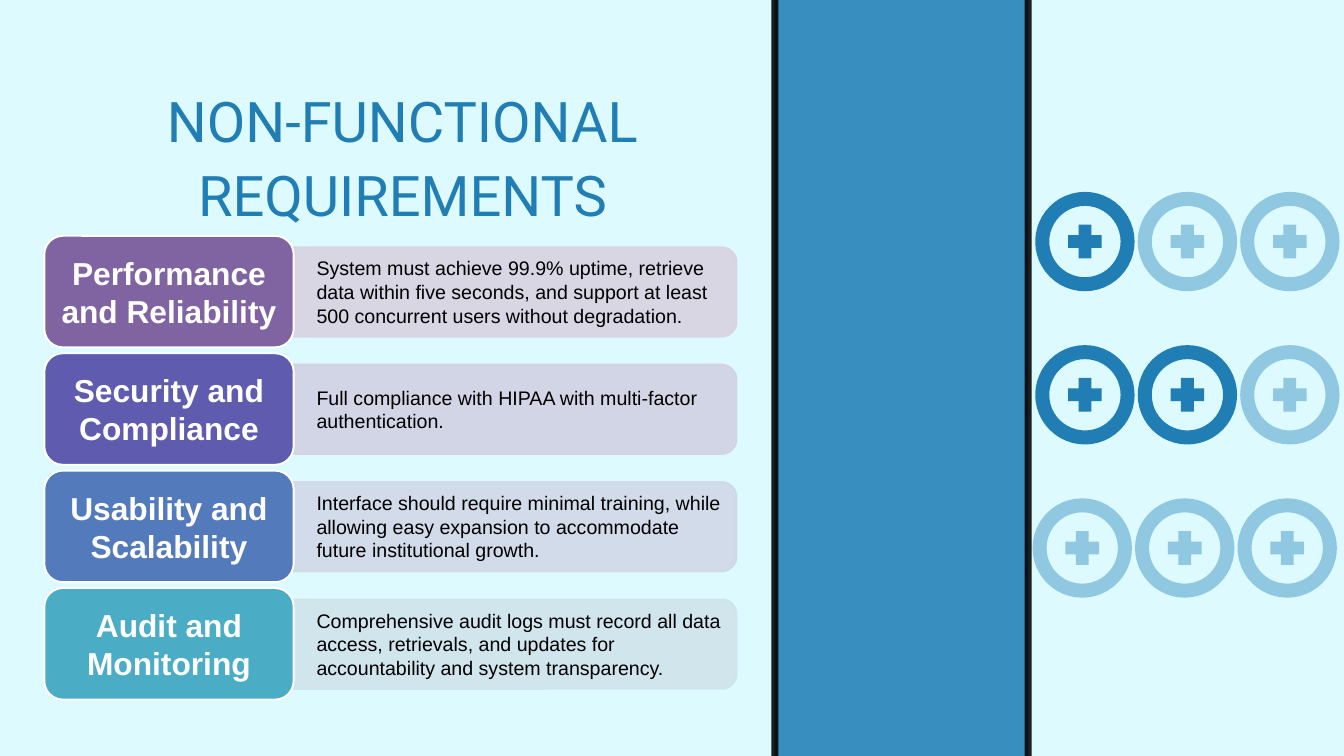
from dataclasses import dataclass

from lxml import etree
from pptx import Presentation
from pptx.dml.color import RGBColor
from pptx.enum import shapes as sh, text as tx
from pptx.oxml.ns import qn
from pptx.util import Inches, Pt


@dataclass(frozen=True)
class Theme:
    back: str = "DCFAFF"
    blue: str = "207EB5"
    white: str = "FFFFFF"
    black: str = "000000"
    head: str = "Roboto"
    body: str = "Arial"
    title: int = 60
    label: int = 34
    note: int = 21
    faint: int = 40


T = Theme()
FORM = sh.MSO_SHAPE

CARDS = [
    ("Performance and Reliability", "8064A2", "D8D3E0",
     "System must achieve 99.9% uptime, retrieve data within five seconds, "
     "and support at least 500 concurrent users without degradation."),
    ("Security and Compliance", "5F5BAE", "D2D2E4",
     "Full compliance with HIPAA with multi-factor authentication."),
    ("Usability and Scalability", "537ABA", "D1D8E7",
     "Interface should require minimal training, while allowing easy "
     "expansion to accommodate future institutional growth."),
    ("Audit and Monitoring", "4BACC6", "D0E3EA",
     "Comprehensive audit logs must record all data access, retrievals, "
     "and updates for accountability and system transparency."),
]

ICONS = [(15.51, 2.96, 1), (15.51, 5.24, 2), (15.47, 7.52, 0)]


def paint(fill, color, alpha=100):
    fill.solid()
    fill.fore_color.rgb = RGBColor.from_string(color)
    if alpha < 100:
        node = fill._xPr.find(".//" + qn("a:srgbClr"))
        etree.SubElement(node, qn("a:alpha")).set("val", str(alpha * 1000))


def add_form(parent, kind, box, fill=None, line=None, width=0, alpha=100):
    form = parent.add_shape(kind, *map(Inches, box))
    form.shadow.inherit = False
    if fill:
        paint(form.fill, fill, alpha)
    else:
        form.fill.background()
    if line:
        paint(form.line.fill, line, alpha)
        form.line.width = Pt(width)
    else:
        form.line.fill.background()
    return form


def write(form, words, font, size, color, align, pads, bold=False):
    frame = form.text_frame
    frame.word_wrap = True
    frame.margin_left, frame.margin_top, frame.margin_right, frame.margin_bottom = map(Inches, pads)
    para = frame.paragraphs[0]
    para.text = words
    para.alignment = align
    para.font.name = font
    para.font.size = Pt(size)
    para.font.bold = bold
    para.font.color.rgb = RGBColor.from_string(color)
    return frame


def add_card(parent, top, label, dark, pale, note):
    bar = add_form(parent, FORM.ROUND_2_SAME_RECTANGLE, (7, top - 2.46, 1.33, 6.59),
                   pale, pale, 2, 90)
    bar.rotation = 90
    box = parent.add_textbox(*map(Inches, (4.37, top + 0.23, 6.53, 1.2)))
    frame = write(box, note, T.body, T.note, T.black, tx.PP_ALIGN.LEFT,
                  (0.34, 0.04, 0.09, 0.04))
    frame.vertical_anchor = tx.MSO_ANCHOR.MIDDLE
    tab = add_form(parent, FORM.ROUNDED_RECTANGLE, (0.66, top, 3.71, 1.66),
                   dark, T.white, 2)
    frame = write(tab, label, T.body, T.label, T.white, tx.PP_ALIGN.CENTER,
                  (0.14, 0.07, 0.14, 0.07), True)
    frame.vertical_anchor = tx.MSO_ANCHOR.MIDDLE


def add_icon(parent, left, top, alpha):
    group = parent.add_group_shape().shapes
    plus = add_form(group, FORM.CROSS, (left + 0.385, top + 0.385, 0.5, 0.5),
                    T.blue, alpha=alpha)
    plus.adjustments[0] = 0.31
    add_form(group, FORM.OVAL, (left, top, 1.27, 1.27), None, T.blue, 15, alpha)


def add_title(parent):
    box = parent.add_textbox(*map(Inches, (0.66, 1.19, 10.66, 2.43)))
    frame = write(box, "NON-FUNCTIONAL REQUIREMENTS", T.head, T.title, T.blue,
                  tx.PP_ALIGN.CENTER, (0, 0, 0, 0))
    frame.paragraphs[0].line_spacing = 1.1


def main():
    deck = Presentation()
    deck.slide_width, deck.slide_height = Inches(20), Inches(11.25)
    slide = deck.slides.add_slide(deck.slide_layouts[6])
    paint(slide.background.fill, T.back)
    parent = slide.shapes
    for row, card in enumerate(CARDS):
        add_card(parent, 3.51 + 1.747 * row, *card)
    add_form(parent, FORM.RECTANGLE, (11.53, -0.21, 3.77, 12.16),
             T.blue, T.black, 7.5, 87)
    for left, top, full in ICONS:
        for col in range(3):
            add_icon(parent, left + 1.525 * col, top, 100 if col < full else T.faint)
    add_title(parent)
    deck.save("out.pptx")


if __name__ == "__main__":
    main()
